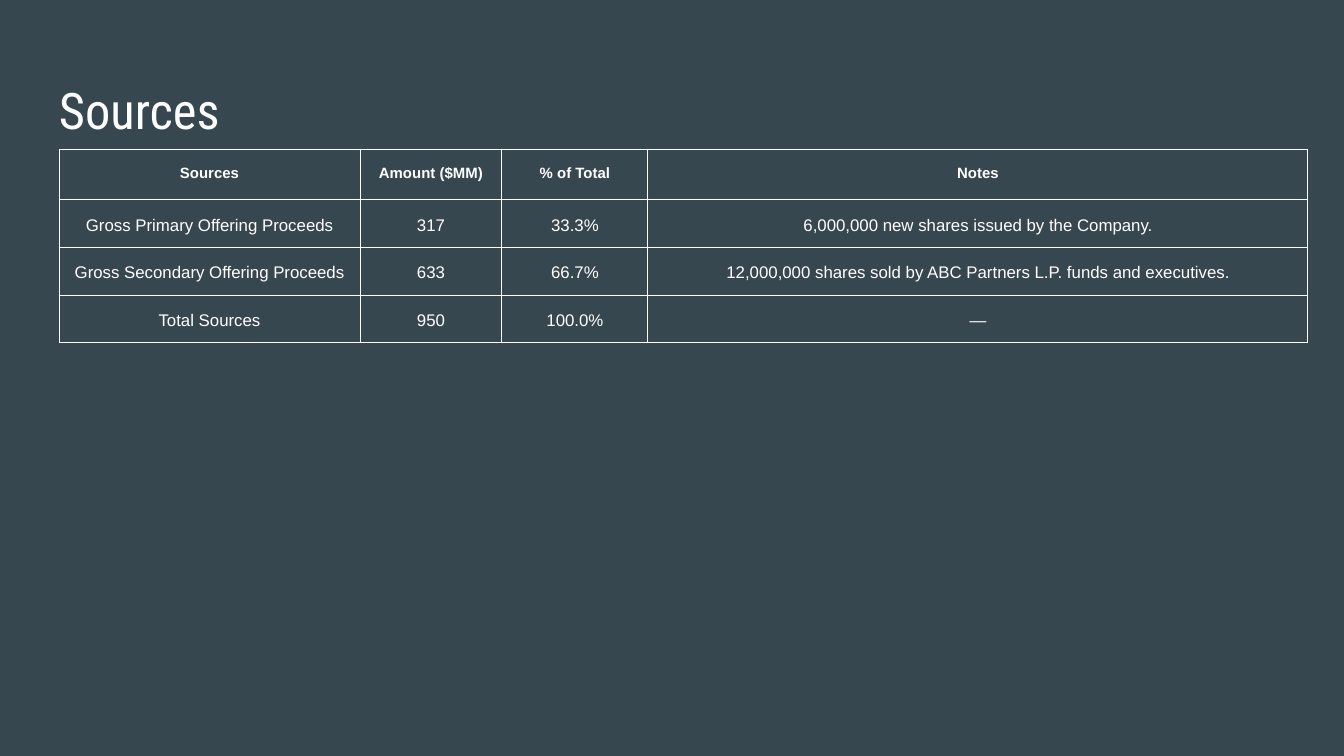
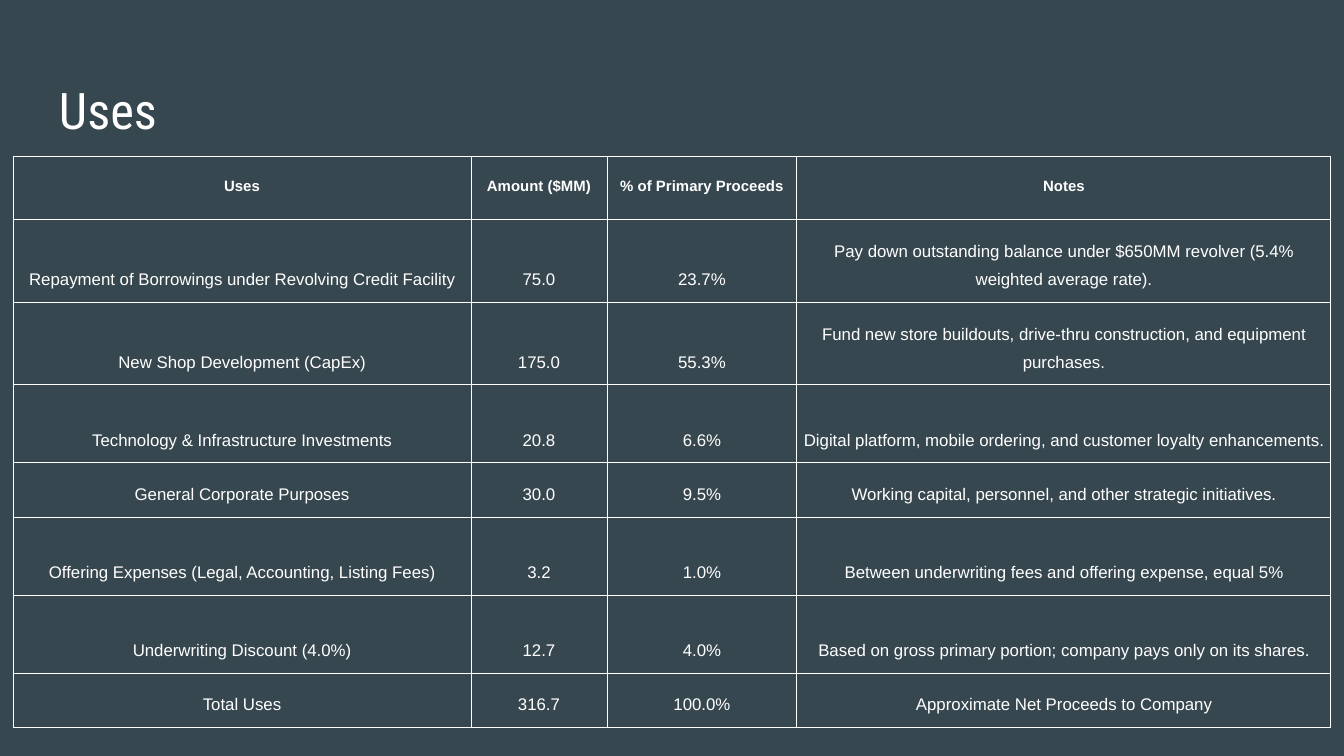
from lxml import etree
from pptx import Presentation
from pptx import util as u
from pptx.dml.color import RGBColor
from pptx.enum import text
from pptx.oxml import ns

SLATE, WHITE = "37474F", "FFFFFF"
TITLE_FONT, TABLE_FONT = "Roboto Condensed", "Arial"
TITLE_BOX = (46, 66, 1253, 84)
TITLE_ONLY = 5

SOURCES = [
    ("Sources", "Amount ($MM)", "% of Total", "Notes"),
    ("Gross Primary Offering Proceeds", "317", "33.3%",
     "6,000,000 new shares issued by the Company."),
    ("Gross Secondary Offering Proceeds", "633", "66.7%",
     "12,000,000 shares sold by ABC Partners L.P. funds and executives."),
    ("Total Sources", "950", "100.0%", "—"),
]
USES = [
    ("Uses", "Amount ($MM)", "% of Primary Proceeds", "Notes"),
    ("Repayment of Borrowings under Revolving Credit Facility", "75.0", "23.7%",
     "Pay down outstanding balance under $650MM revolver (5.4% weighted average rate)."),
    ("New Shop Development (CapEx)", "175.0", "55.3%",
     "Fund new store buildouts, drive-thru construction, and equipment purchases."),
    ("Technology & Infrastructure Investments", "20.8", "6.6%",
     "Digital platform, mobile ordering, and customer loyalty enhancements."),
    ("General Corporate Purposes", "30.0", "9.5%",
     "Working capital, personnel, and other strategic initiatives."),
    ("Offering Expenses (Legal, Accounting, Listing Fees)", "3.2", "1.0%",
     "Between underwriting fees and offering expense, equal 5%"),
    ("Underwriting Discount (4.0%)", "12.7", "4.0%",
     "Based on gross primary portion; company pays only on its shares."),
    ("Total Uses", "316.7", "100.0%", "Approximate Net Proceeds to Company"),
]


def px(length):
    return u.Emu(round(length * 9144000 / 1344))


def color(value):
    return RGBColor.from_string(value)


def set_margins(box, side, end):
    box.margin_left = box.margin_right = px(side)
    box.margin_top = box.margin_bottom = px(end)


def add_span(para, words, font, size, bold=False):
    span = para.add_run()
    span.text = words
    span.font.name, span.font.size, span.font.bold = font, u.Pt(size), bold
    span.font.color.rgb = color(WHITE)


def add_borders(cell, width=0.6):
    properties = cell._tc.get_or_add_tcPr()
    for position, side in enumerate(("lnL", "lnR", "lnT", "lnB")):
        line = etree.Element(ns.qn(f"a:{side}"), w=str(u.Pt(width)))
        fill = etree.SubElement(line, ns.qn("a:solidFill"))
        etree.SubElement(fill, ns.qn("a:srgbClr"), val=WHITE)
        properties.insert(position, line)


def add_title(page, words, box):
    title = page.shapes.title
    title.left, title.top, title.width, title.height = map(px, box)
    frame = title.text_frame
    frame.word_wrap = True
    frame.auto_size = text.MSO_AUTO_SIZE.NONE
    frame.vertical_anchor = text.MSO_ANCHOR.TOP
    set_margins(frame, 13, 13)
    para = frame.paragraphs[0]
    para.alignment = text.PP_ALIGN.LEFT
    add_span(para, words, TITLE_FONT, 27)


def fill_cell(cell, words, is_header, spacing):
    cell.fill.background()
    add_borders(cell)
    set_margins(cell, 4, 13)
    cell.vertical_anchor = text.MSO_ANCHOR.TOP if is_header else text.MSO_ANCHOR.BOTTOM
    para = cell.text_frame.paragraphs[0]
    para.alignment = text.PP_ALIGN.CENTER
    para.line_spacing = spacing
    add_span(para, words, TABLE_FONT, 8 if is_header else 9, is_header)


def add_grid(page, rows, left, top, widths, heights, spacing):
    frame = page.shapes.add_table(len(rows), len(widths), px(left), px(top),
                                  px(sum(widths)), px(sum(heights)))
    table = frame.table
    table.first_row = table.horz_banding = False
    for column, width in zip(table.columns, widths):
        column.width = px(width)
    for number, (row, height) in enumerate(zip(table.rows, heights)):
        row.height = px(height)
        for cell, words in zip(row.cells, rows[number]):
            fill_cell(cell, words, number == 0, spacing)


def add_table_page(deck, rows, **grid):
    page = deck.slides.add_slide(deck.slide_layouts[TITLE_ONLY])
    # The first heading of the table is also the slide title
    add_title(page, rows[0][0], TITLE_BOX)
    add_grid(page, rows, **grid)


def main():
    deck = Presentation()
    deck.slide_width, deck.slide_height = px(1344), px(756)
    # Shared background
    background = deck.slide_master.background.fill
    background.solid()
    background.fore_color.rgb = color(SLATE)
    # Where the money comes from
    add_table_page(deck, SOURCES, left=59, top=149, widths=(301, 142, 146, 660),
                   heights=(51, 28, 28, 28), spacing=1.15)
    # Where the money goes
    add_table_page(deck, USES, left=13, top=156, widths=(458, 136, 190, 534),
                   heights=(64, 64, 78, 78, 50, 78, 78, 50), spacing=1.5)
    deck.save("out.pptx")


if __name__ == "__main__":
    main()
